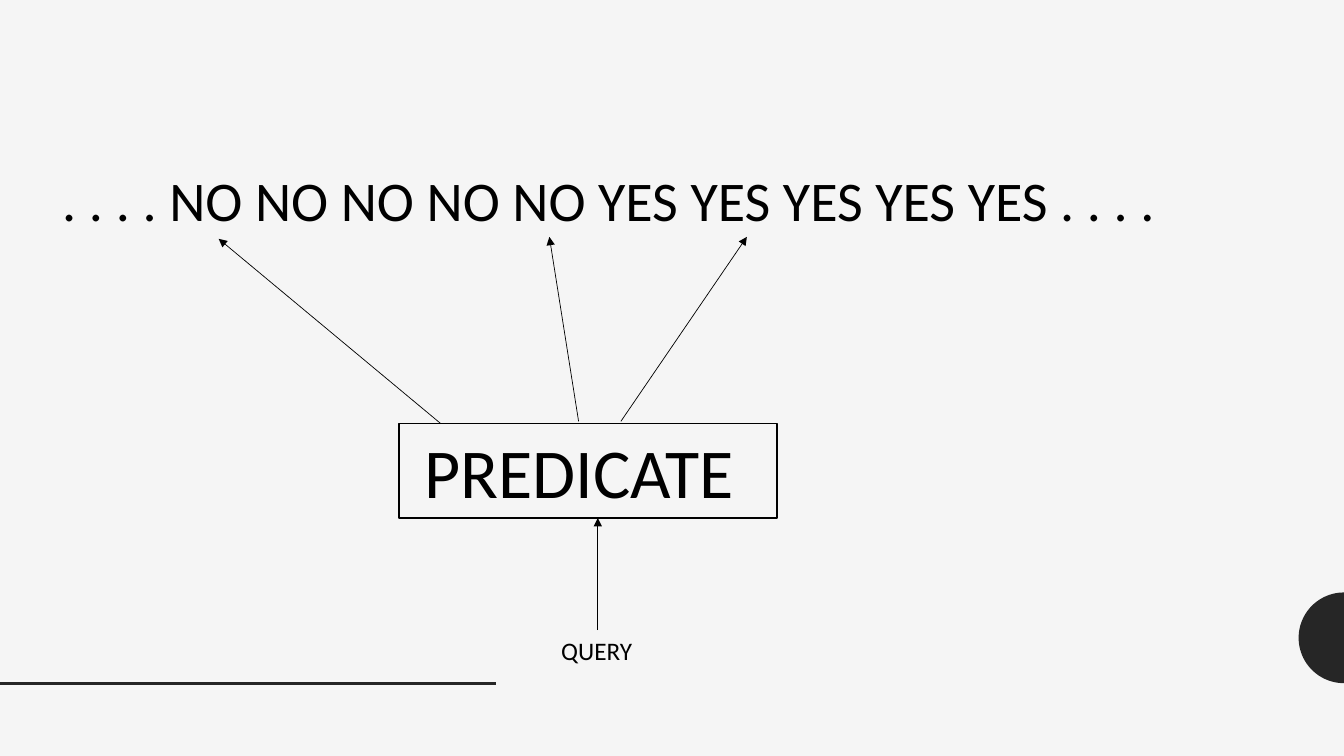
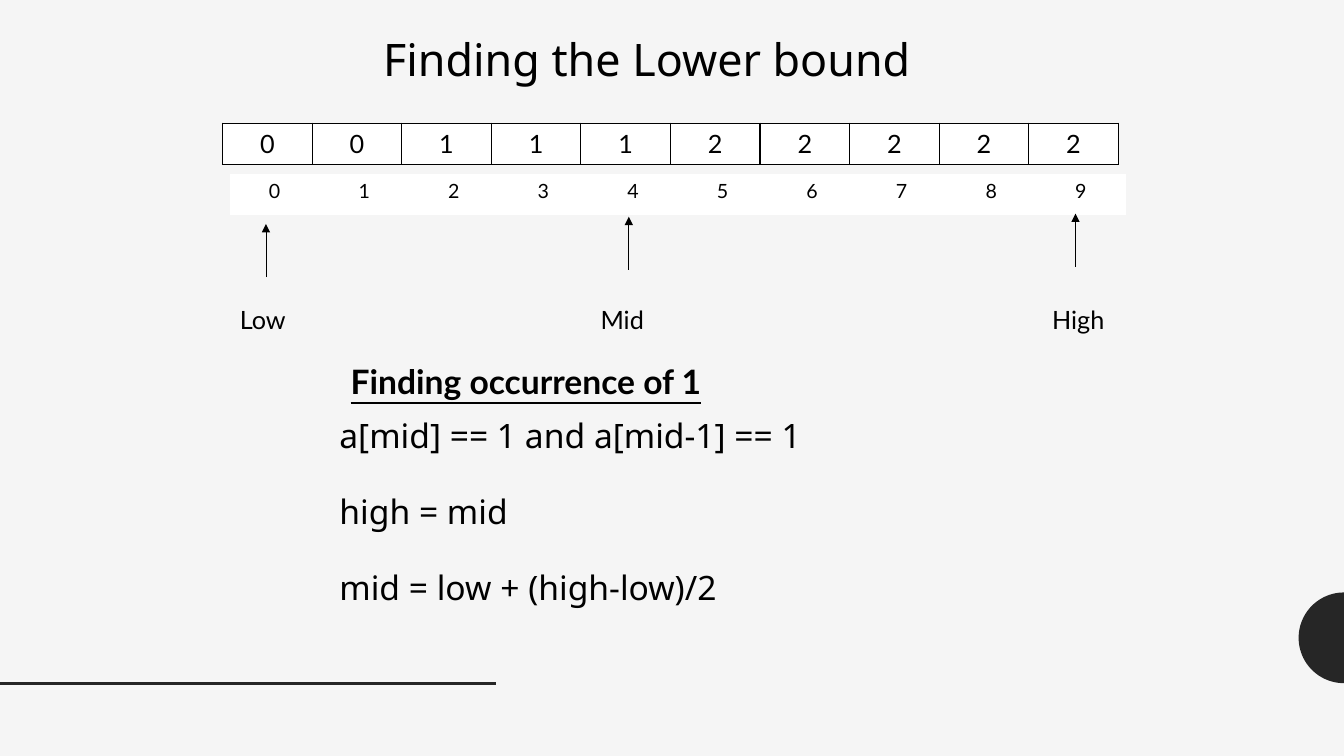
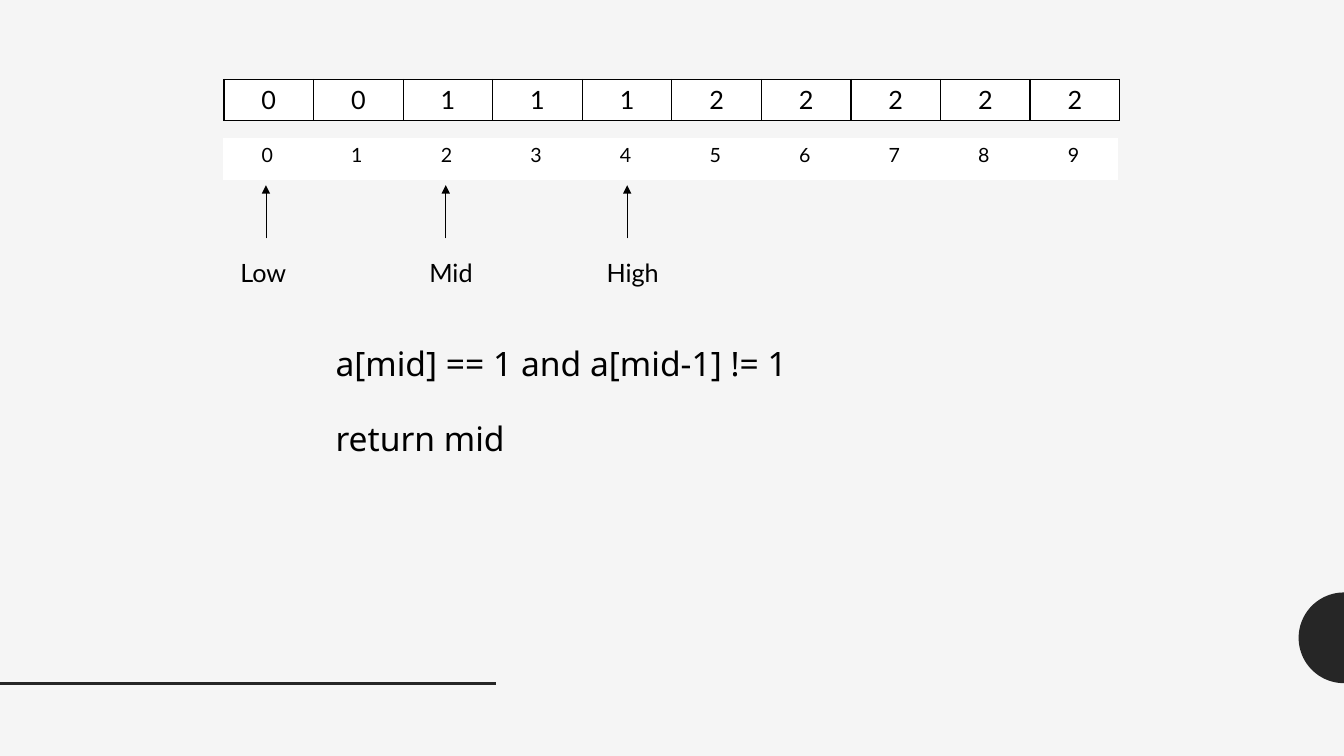
"""Build three slides that explain binary search for a lower bound."""
from dataclasses import dataclass
from math import cos, pi, sin
from typing import Optional, Sequence

from lxml import etree
from pptx import Presentation
from pptx.dml.color import RGBColor
from pptx.enum import shapes, text
from pptx.oxml import ns
from pptx import util as u

BLACK = RGBColor(0x00, 0x00, 0x00)
CHARCOAL = RGBColor(0x26, 0x26, 0x26)
PAPER = RGBColor(0xF5, 0xF5, 0xF5)
WHITE = RGBColor(0xFF, 0xFF, 0xFF)

PAGE_WIDTH, PAGE_HEIGHT = 960, 540
RULE_TOP, RULE_WIDTH = 488, 354
DISC_RADIUS, DISC_STEPS = 32.4, 48
CELL_WIDTH, CELL_HEIGHT = 64, 29.5
POINTER_LENGTH = 38
STATEMENT_GAP = 25.2

VALUES = "0011122222"
INDICES = "0123456789"


@dataclass(frozen=True)
class Style:
    font: str
    size: float
    bold: bool = False
    underline: bool = False
    inset_top: float = 3.6


@dataclass(frozen=True)
class Label:
    words: Sequence[str]
    left: float
    top: float
    width: float
    height: float
    style: Style
    gap: float = 0


@dataclass(frozen=True)
class Arrow:
    start: tuple[float, float]
    end: tuple[float, float]


@dataclass(frozen=True)
class Pointer:
    name: str
    tip_x: float
    tip_y: float
    label_left: float
    label_top: float


@dataclass(frozen=True)
class Strip:
    digits: str
    left: float
    top: float
    size: float
    ruled: bool


ANSWERS = Style("Calibri", 40)
PREDICATE = Style("Calibri", 50)
QUERY = Style("Calibri", 18)
POINTER_NAME = Style("Lato", 18)
SUBHEADING = Style("Lato", 24, bold=True, underline=True)
TITLE = Style("Noto Sans", 32, inset_top=1.4)
STATEMENT = Style("Noto Sans", 24, inset_top=1.4)


def write(frame, words: Sequence[str], style: Style, gap: float = 0) -> None:
    """Fill a text frame with one paragraph per entry."""
    frame.word_wrap = True
    frame.auto_size = text.MSO_AUTO_SIZE.NONE
    frame.vertical_anchor = text.MSO_ANCHOR.TOP
    frame.margin_top = u.Pt(style.inset_top)
    for position, line in enumerate(words):
        para = frame.paragraphs[0] if position == 0 else frame.add_paragraph()
        para.alignment = text.PP_ALIGN.LEFT
        para.space_before = u.Pt(gap if position else 0)
        span = para.add_run()
        span.text = line
        span.font.name = style.font
        span.font.size = u.Pt(style.size)
        span.font.bold = style.bold
        span.font.underline = style.underline
        span.font.color.rgb = BLACK


def draw_label(page, label: Label) -> None:
    """Draw a text box."""
    box = page.shapes.add_textbox(
        u.Pt(label.left), u.Pt(label.top), u.Pt(label.width), u.Pt(label.height)
    )
    write(box.text_frame, label.words, label.style, label.gap)


def draw_line(page, line: Arrow, colour: RGBColor, weight: float):
    """Draw a straight line without a shadow."""
    connector = page.shapes.add_connector(
        shapes.MSO_CONNECTOR.STRAIGHT,
        *(u.Pt(value) for value in (*line.start, *line.end)),
    )
    connector.line.color.rgb = colour
    connector.line.width = u.Pt(weight)
    etree.SubElement(connector.element.spPr, ns.qn("a:effectLst"))
    return connector


def draw_arrow(page, arrow: Arrow) -> None:
    """Draw a thin line with a triangle at its end."""
    connector = draw_line(page, arrow, BLACK, 0.5)
    outline = connector.element.spPr.find(ns.qn("a:ln"))
    etree.SubElement(outline, ns.qn("a:tailEnd"), type="triangle")


def draw_pointer(page, pointer: Pointer) -> None:
    """Draw an upward arrow and the name below it."""
    tip = (pointer.tip_x, pointer.tip_y)
    draw_arrow(page, Arrow((tip[0], tip[1] + POINTER_LENGTH), tip))
    draw_label(
        page,
        Label([pointer.name], pointer.label_left, pointer.label_top, 67.7, 28.8, POINTER_NAME),
    )


def set_borders(properties, colour: Optional[RGBColor]) -> None:
    """Give a cell four equal borders, or none."""
    for position, side in enumerate(("lnL", "lnR", "lnT", "lnB")):
        border = etree.Element(ns.qn(f"a:{side}"), w=str(u.Pt(1)))
        if colour is None:
            etree.SubElement(border, ns.qn("a:noFill"))
        else:
            fill = etree.SubElement(border, ns.qn("a:solidFill"))
            etree.SubElement(fill, ns.qn("a:srgbClr"), val=str(colour))
        properties.insert(position, border)


def draw_strip(page, strip: Strip) -> None:
    """Draw a one-row table with a digit in each cell."""
    count = len(strip.digits)
    frame = page.shapes.add_table(
        1, count, u.Pt(strip.left), u.Pt(strip.top),
        u.Pt(CELL_WIDTH * count), u.Pt(CELL_HEIGHT),
    )
    table = frame.table
    table.first_row = False
    table.horz_banding = False
    for cell, digit in zip(table.iter_cells(), strip.digits):
        cell.fill.solid()
        cell.fill.fore_color.rgb = WHITE
        para = cell.text_frame.paragraphs[0]
        para.alignment = text.PP_ALIGN.CENTER
        span = para.add_run()
        span.text = digit
        span.font.name = "Lato"
        span.font.size = u.Pt(strip.size)
        span.font.color.rgb = BLACK
    for properties in frame.element.iter(ns.qn("a:tcPr")):
        set_borders(properties, BLACK if strip.ruled else None)


def draw_search(page, strips: Sequence[Strip], pointers: Sequence[Pointer]) -> None:
    """Draw the array, its indices and the search pointers."""
    for strip in strips:
        draw_strip(page, strip)
    for pointer in pointers:
        draw_pointer(page, pointer)


def decorate_master(deck, page) -> None:
    """Set the shared background, half disc and rule on the master."""
    master = deck.slide_master
    master.background.fill.solid()
    master.background.fill.fore_color.rgb = PAPER

    centre_y = RULE_TOP - DISC_RADIUS
    outline = [
        (
            u.Pt(PAGE_WIDTH - DISC_RADIUS * sin(pi * step / DISC_STEPS)),
            u.Pt(centre_y - DISC_RADIUS * cos(pi * step / DISC_STEPS)),
        )
        for step in range(DISC_STEPS + 1)
    ]
    builder = page.shapes.build_freeform(*outline[0])
    builder.add_line_segments(outline[1:], close=True)
    half_disc = builder.convert_to_shape()
    half_disc.shadow.inherit = False
    half_disc.fill.solid()
    half_disc.fill.fore_color.rgb = CHARCOAL
    half_disc.line.fill.background()

    rule = draw_line(page, Arrow((0, RULE_TOP), (RULE_WIDTH, RULE_TOP)), CHARCOAL, 2)
    for shape in (half_disc, rule):
        master.shapes.element.append(shape.element)


def build_predicate(page) -> None:
    """Show how a predicate splits the answers into NO and YES."""
    answers = " ".join([*"....", *["NO"] * 5, *["YES"] * 5, *"...."])
    draw_label(page, Label([answers], 37.4, 114.5, 812, 55.4, ANSWERS))
    draw_label(page, Label(["PREDICATE"], 296, 302.4, 237.6, 67.7, PREDICATE))
    border = page.shapes.add_shape(
        shapes.MSO_SHAPE.RECTANGLE, u.Pt(285), u.Pt(302.4), u.Pt(270), u.Pt(67.7)
    )
    border.shadow.inherit = False
    border.fill.background()
    border.line.color.rgb = BLACK
    border.line.width = u.Pt(1)
    draw_label(page, Label(["QUERY"], 393.8, 450, 70, 28.8, QUERY))
    for arrow in (
        Arrow((427, 450), (427, 370)),
        Arrow((314.6, 302.4), (156.2, 170.6)),
        Arrow((413.3, 301), (392.4, 169.2)),
        Arrow((443.5, 301), (533.5, 169.2)),
    ):
        draw_arrow(page, arrow)


def build_first_step(page) -> None:
    """Show the step that moves the high pointer."""
    title = page.shapes.title
    title.left, title.top = u.Pt(266.4), u.Pt(21.6)
    title.width, title.height = u.Pt(398), u.Pt(46)
    write(title.text_frame, ["Finding the Lower bound"], TITLE)
    draw_search(
        page,
        [Strip(VALUES, 159, 88, 18, True), Strip(INDICES, 164.2, 124.4, 14, False)],
        [
            Pointer("Low", 190, 160, 164.2, 213.8),
            Pointer("Mid", 449.2, 154.8, 421.9, 213.8),
            Pointer("High", 768.2, 152.6, 744.5, 213.8),
        ],
    )
    draw_label(page, Label(["Finding occurrence of 1"], 243.4, 254.2, 278.6, 36, SUBHEADING))
    statements = ["a[mid] == 1 and a[mid-1] == 1", "high = mid", "mid = low + (high-low)/2"]
    draw_label(page, Label(statements, 235.4, 295.2, 509, 152.6, STATEMENT, STATEMENT_GAP))


def build_last_step(page) -> None:
    """Show the step that returns the lower bound."""
    draw_search(
        page,
        [Strip(VALUES, 160, 56.7, 18, True), Strip(INDICES, 159, 98.9, 14, False)],
        [
            Pointer("Low", 190, 132.3, 164.6, 180),
            Pointer("Mid", 318.4, 132.3, 299.6, 180),
            Pointer("High", 448, 132.3, 426.2, 180),
        ],
    )
    statements = ["a[mid] == 1 and a[mid-1] != 1", "return mid"]
    draw_label(page, Label(statements, 232.6, 243.4, 509, 94.3, STATEMENT, STATEMENT_GAP))


def main() -> None:
    """Create and save the deck."""
    deck = Presentation()
    deck.slide_width, deck.slide_height = u.Pt(PAGE_WIDTH), u.Pt(PAGE_HEIGHT)
    title_only = deck.slide_layouts.get_by_name("Title Only")
    blank = deck.slide_layouts.get_by_name("Blank")
    predicate_page = deck.slides.add_slide(blank)
    decorate_master(deck, predicate_page)
    build_predicate(predicate_page)
    build_first_step(deck.slides.add_slide(title_only))
    build_last_step(deck.slides.add_slide(blank))
    deck.save("out.pptx")


main()
